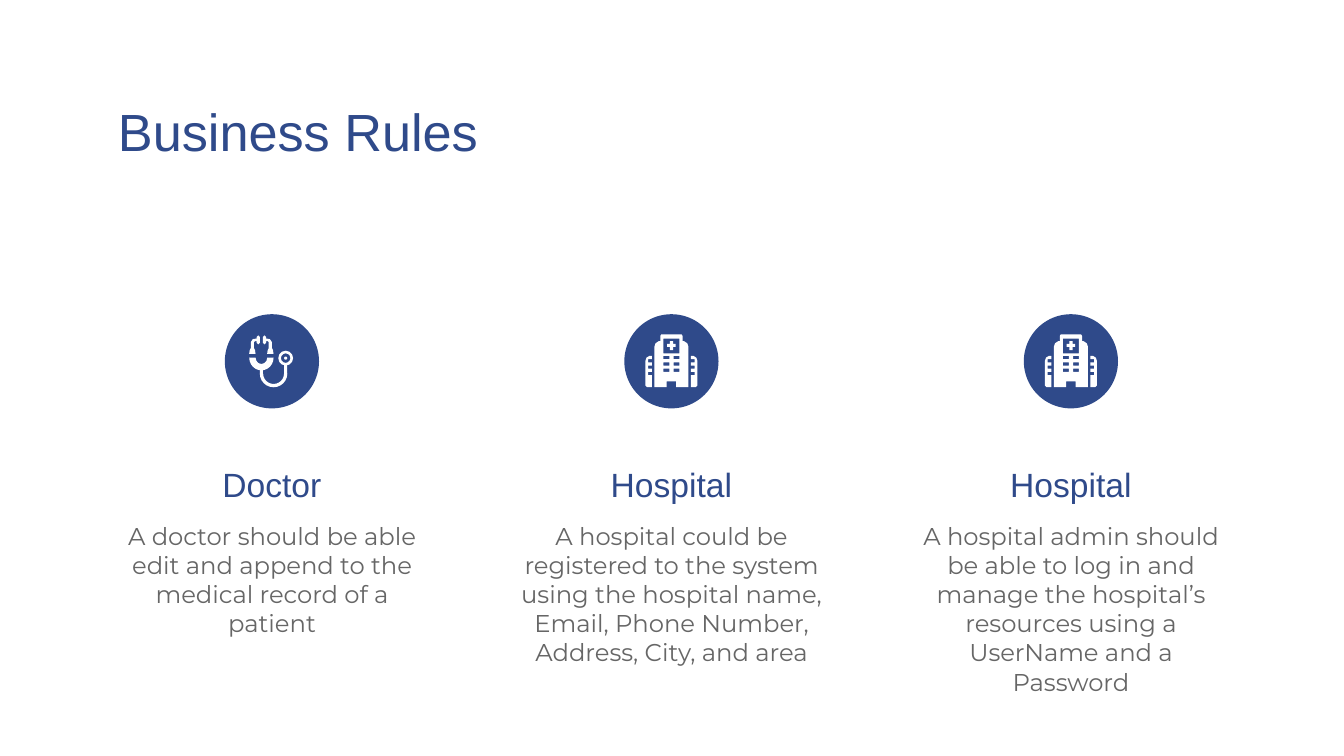
"""Build the Business Rules slide: three columns with icon, heading and rule."""
from dataclasses import dataclass

from pptx import Presentation
from pptx.dml.color import RGBColor
from pptx.enum.shapes import MSO_SHAPE
from pptx.enum.text import MSO_ANCHOR, MSO_AUTO_SIZE, PP_ALIGN
from pptx.util import Cm, Pt

OVAL, DONUT = MSO_SHAPE.OVAL, MSO_SHAPE.DONUT
ARCH, BAR = MSO_SHAPE.BLOCK_ARC, MSO_SHAPE.RECTANGLE
LEFT, CENTER = PP_ALIGN.LEFT, PP_ALIGN.CENTER
TOP, MIDDLE = MSO_ANCHOR.TOP, MSO_ANCHOR.MIDDLE
NO_AUTOFIT = MSO_AUTO_SIZE.NONE


@dataclass(frozen=True)
class Theme:
    navy: RGBColor = RGBColor(0x2F, 0x4A, 0x8A)
    gray: RGBColor = RGBColor(0x66, 0x66, 0x66)
    white: RGBColor = RGBColor(0xFF, 0xFF, 0xFF)
    heading_font: str = "Arial"
    body_font: str = "Montserrat"
    title_size: Pt = Pt(28)
    heading_size: Pt = Pt(18)
    body_size: Pt = Pt(13)


theme = Theme()


def write_text(box, text, *, font, size, color, align=CENTER, anchor=TOP, top_inset=Cm(0.25), after=Pt(0)):
    frame = box.text_frame
    frame.word_wrap = True
    frame.auto_size = NO_AUTOFIT
    frame.vertical_anchor = anchor
    frame.margin_left = frame.margin_right = frame.margin_bottom = Cm(0.25)
    frame.margin_top = top_inset
    para = frame.paragraphs[0]
    para.alignment = align
    para.space_after = after
    span = para.add_run()
    span.text = text
    span.font.name = font
    span.font.size = size
    span.font.color.rgb = color


def paint(shape, color):
    shape.shadow.inherit = False
    shape.fill.solid()
    shape.fill.fore_color.rgb = color
    shape.line.fill.background()


# Icon outlines use tenths of a millimetre, measured from the disc centre.
ICON_UNIT = Cm(0.01)

tower_half = [(0, -51), (19, -51), (21, -48), (21, -38), (24, -38), (30, -34),
              (32, -28), (32, 49), (9, 49), (9, 38), (0, 38)]
tower = tower_half + [(-x, y) for x, y in reversed(tower_half)]
panes = [(-15, -43, 30, 28)]
right_wing = [(37, 49), (37, -10), (42, -10), (47, -7), (49, -1), (49, 46), (46, 49)]
notches = []
for row in range(3):
    panes += [(x, -10 + 12 * row, 11, 6) for x in (-15, 4)]
    y = -4 + 12 * row
    notches += [(37, y), (44, y), (44, y + 6), (37, y + 6)]
right_wing[2:2] = []
right_wing = [right_wing[0]] + notches[::-1] + right_wing[1:]
left_wing = [(-x, y) for x, y in right_wing]
cross = [(-3, -38), (3, -38), (3, -33), (8, -33), (8, -27), (3, -27),
         (3, -21), (-3, -21), (-3, -27), (-8, -27), (-8, -33), (-3, -33)]
holes = [[(x, y), (x + w, y), (x + w, y + h), (x, y + h)] for x, y, w, h in panes]

prong = [(3, -46), (6, -49), (9, -46), (9, -43), (16, -42), (20, -36),
         (20, -25), (22, -21), (23, -14), (11, -14), (12, -21), (14, -25),
         (14, -36), (12, -38), (9, -38), (9, -35), (6, -32), (3, -35)]
PRONG_AXIS = -20

hospital = {"outlines": [[tower] + holes, [cross], [left_wing], [right_wing]], "presets": []}
stethoscope = {
    "outlines": [[[(PRONG_AXIS + side * x, y) for x, y in prong]] for side in (-1, 1)],
    "presets": [
        (ARCH, -43, -31, 46, 48, 0.26),
        (ARCH, -23, -3, 52, 52, 0.12),
        (BAR, -23, 14, 6, 10, None),
        (BAR, 23, 7, 6, 17, None),
        (DONUT, 12, -20, 28, 28, 0.18),
        (OVAL, 23, -9, 6, 6, None),
    ],
}

columns = [
    ("Doctor", "A doctor should be able edit and append to the medical record of a patient", stethoscope),
    ("Hospital", "A hospital could be registered to the system using the hospital name, "
                 "Email, Phone Number, Address, City, and area", hospital),
    ("Hospital", "A hospital admin should be able to log in and manage the hospital’s "
                 "resources using a UserName and a Password", hospital),
]

deck = Presentation()
deck.slide_width, deck.slide_height = Cm(25.4), Cm(14.29)
page = deck.slides.add_slide(deck.slide_layouts[5])
shapes = page.shapes

MARGIN, COLUMN_WIDTH, COLUMN_PITCH = Cm(1.98), Cm(6.32), Cm(7.55)
DISC_SIZE, DISC_CENTER_Y = Cm(1.78), Cm(6.83)

title = shapes.title
title.left, title.top, title.width, title.height = MARGIN, Cm(1.52), Cm(21.44), Cm(1.3)
write_text(title, "Business Rules", font=theme.heading_font, size=theme.title_size,
           color=theme.navy, align=LEFT, top_inset=Cm(0.36))

for index, (heading, rule, icon) in enumerate(columns):
    left = MARGIN + index * COLUMN_PITCH
    center_x = left + COLUMN_WIDTH // 2

    heading_box = shapes.add_textbox(left, Cm(8.51), COLUMN_WIDTH, Cm(1.3))
    write_text(heading_box, heading, font=theme.heading_font, size=theme.heading_size,
               color=theme.navy, anchor=MIDDLE)
    rule_box = shapes.add_textbox(left, Cm(9.6), COLUMN_WIDTH, Cm(2.13))
    write_text(rule_box, rule, font=theme.body_font, size=theme.body_size,
               color=theme.gray, after=Pt(12))

    disc = shapes.add_shape(OVAL, center_x - DISC_SIZE // 2, DISC_CENTER_Y - DISC_SIZE // 2,
                            DISC_SIZE, DISC_SIZE)
    paint(disc, theme.navy)

    for contours in icon["outlines"]:
        builder = shapes.build_freeform(*contours[0][0], scale=ICON_UNIT)
        builder.add_line_segments(contours[0][1:], close=True)
        for contour in contours[1:]:
            builder.move_to(*contour[0])
            builder.add_line_segments(contour[1:], close=True)
        paint(builder.convert_to_shape(center_x, DISC_CENTER_Y), theme.white)

    for preset, x, y, width, height, thickness in icon["presets"]:
        part = shapes.add_shape(preset, center_x + x * ICON_UNIT, DISC_CENTER_Y + y * ICON_UNIT,
                                width * ICON_UNIT, height * ICON_UNIT)
        paint(part, theme.white)
        if preset == ARCH:
            part.rotation = 180
            part.adjustments[2] = thickness
        elif preset == DONUT:
            part.adjustments[0] = thickness

deck.save("out.pptx")
